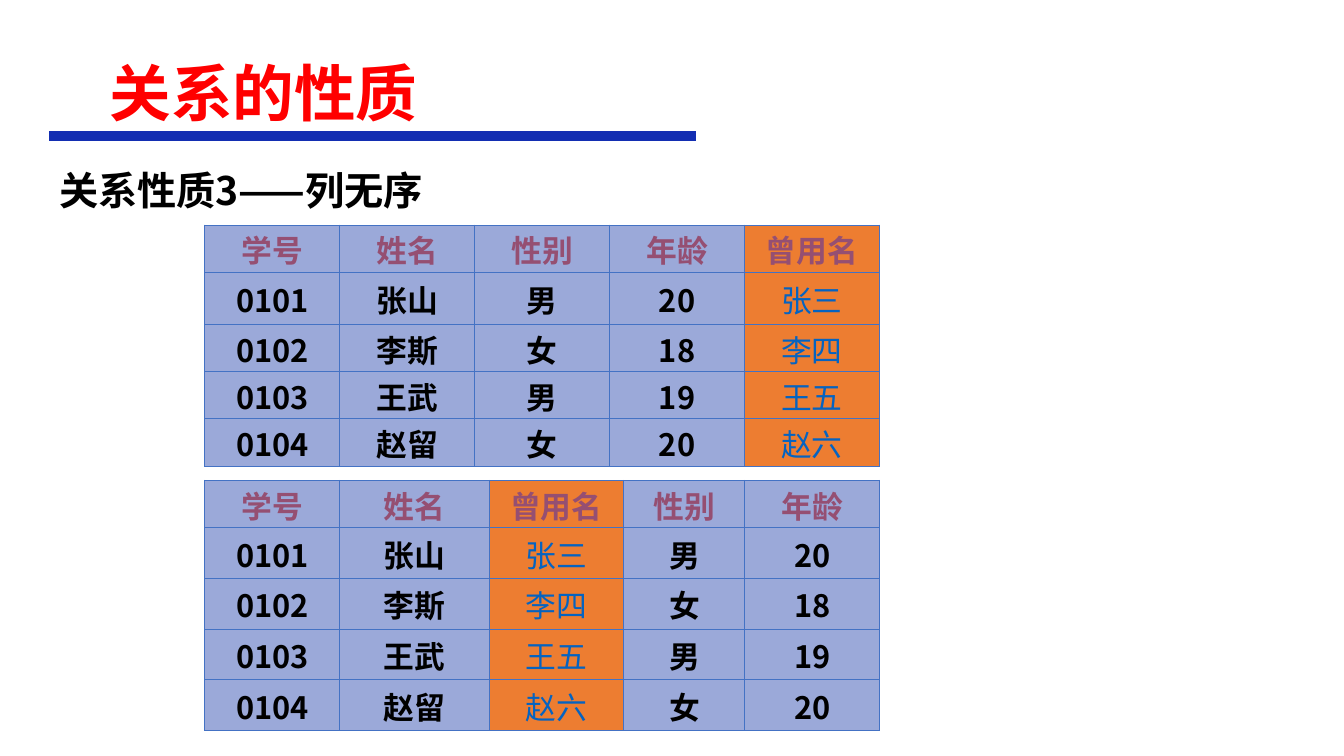
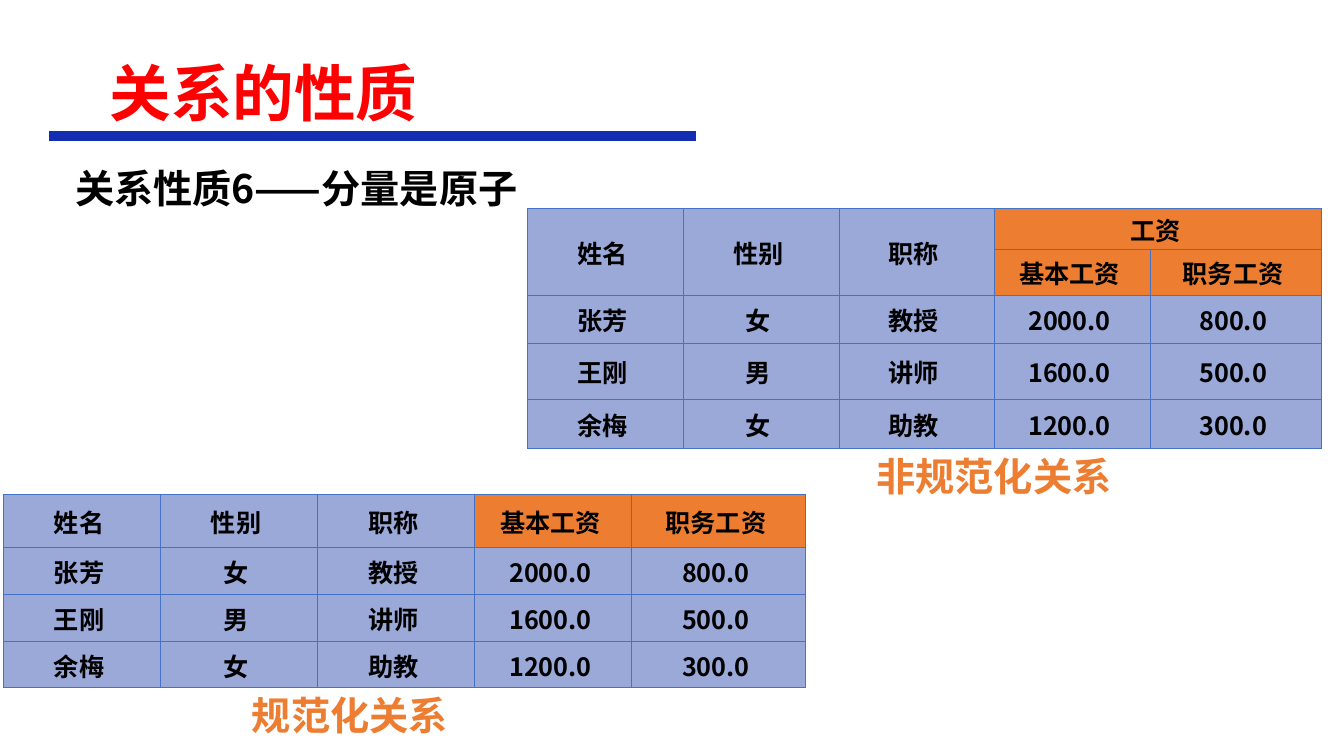
from pptx import Presentation
from pptx.dml.color import RGBColor
from pptx.enum.shapes import MSO_CONNECTOR
from pptx.enum.text import MSO_ANCHOR as Anchor, PP_ALIGN as Align
from pptx.oxml.ns import qn
from pptx.util import Cm, Pt
from lxml.etree import SubElement

CJK_FONT = "Noto Sans CJK SC"
RED, BLUE, BLACK, ORANGE = "FF0000", "132EB2", "000000", "ED7D31"
CELL_FILL, BORDER, PLUM, LINK = "9BA9D9", "4472C4", "954F72", "0563C1"

# Shared styles
TITLE = dict(size=44, color=RED)
HEADING = dict(size=28, color=BLACK)
CAPTION = dict(size=28, color=ORANGE, font="Karla")
STUDENT_HEAD = dict(size=22, color=PLUM)
STUDENT = dict(size=22, color=BLACK)
FORMER_NAME = dict(size=22, color=LINK, bold=False)
SALARY = dict(size=18, color=BLACK)

# Content
TITLE_TEXT = "关系的性质"
FORMER = "曾用名"
STUDENTS = {
    "学号": ["0101", "0102", "0103", "0104"],
    "姓名": ["张山", "李斯", "王武", "赵留"],
    "性别": ["男", "女", "男", "女"],
    "年龄": ["20", "18", "19", "20"],
    FORMER: ["张三", "李四", "王五", "赵六"],
}
STAFF_HEAD = ["姓名", "性别", "职称"]
PAY_HEAD = ["基本工资", "职务工资"]
STAFF = [
    ["张芳", "女", "教授", "2000.0", "800.0"],
    ["王刚", "男", "讲师", "1600.0", "500.0"],
    ["余梅", "女", "助教", "1200.0", "300.0"],
]

# Tables: left, top, column widths and row heights in cm
STUDENT_TABLES = [
    dict(order=["学号", "姓名", "性别", "年龄", FORMER], left=5.16, top=5.67,
         widths=[3.4] * 5, heights=[1.19, 1.31, 1.19, 1.19, 1.19]),
    dict(order=["学号", "姓名", FORMER, "性别", "年龄"], left=5.16, top=12.1,
         widths=[3.4, 3.76, 3.4, 3.05, 3.4], heights=[1.19] + [1.28] * 4),
]
SALARY_TABLES = [
    dict(rows=[STAFF_HEAD + ["工资", ""], [""] * 3 + PAY_HEAD] + STAFF,
         head_rows=2, left=13.3, top=5.26, widths=[3.92] * 4 + [4.33],
         heights=[1.01, 1.16, 1.21, 1.41, 1.24],
         merges=[((0, column), (1, column)) for column in range(3)]
         + [((0, 3), (0, 4))]),
    dict(rows=[STAFF_HEAD + PAY_HEAD] + STAFF,
         head_rows=1, left=0.08, top=12.45, widths=[3.96] * 4 + [4.38],
         heights=[1.34] + [1.18] * 3, merges=[]),
]


def rgb(value):
    return RGBColor.from_string(value)


def set_all(target, values):
    for name, value in values.items():
        setattr(target, name, value)


def write(frame, text, size, color, font=CJK_FONT, bold=True, **paragraph_format):
    paragraph = frame.paragraphs[0]
    set_all(paragraph, paragraph_format)
    run = paragraph.add_run()
    run.text = text
    set_all(run.font, dict(size=Pt(size), name=font, bold=bold))
    run.font.color.rgb = rgb(color)
    SubElement(run.font._element, qn("a:ea"), typeface=CJK_FONT)


def add_text(slide, text, left, top, width, height, **style):
    frame = slide.shapes.add_textbox(Cm(left), Cm(top), Cm(width), Cm(height)).text_frame
    set_all(frame, dict(word_wrap=True, vertical_anchor=Anchor.MIDDLE,
                        margin_top=0, margin_bottom=0))
    write(frame, text, **style)


def add_base_slide(presentation, heading, left, top):
    """Blank slide with the title, its rule and a heading."""
    slide = presentation.slides.add_slide(presentation.slide_layouts[6])
    add_text(slide, TITLE_TEXT, 2.51, 0.6, 29.21, 3.68, line_spacing=0.9, **TITLE)
    rule = slide.shapes.add_connector(
        MSO_CONNECTOR.STRAIGHT, Cm(1.24), Cm(3.43), Cm(17.53), Cm(3.43))
    rule.line.color.rgb = rgb(BLUE)
    rule.line.width = Pt(7.25)
    SubElement(rule._element.spPr, qn("a:effectLst"))
    add_text(slide, heading, left, top, 16.94, 1.45, **HEADING)
    return slide


def add_borders(cell):
    properties = cell._tc.get_or_add_tcPr()
    for side in ("lnL", "lnR", "lnT", "lnB"):
        line = SubElement(properties, qn(f"a:{side}"), w=str(Pt(0.5)))
        SubElement(SubElement(line, qn("a:solidFill")), qn("a:srgbClr"), val=BORDER)


def add_grid(slide, rows, left, top, widths, heights, style_of, is_orange,
             margin_right=0.25, merges=()):
    """Table whose text style and orange cells follow from row and column."""
    table = slide.shapes.add_table(
        len(rows), len(widths), Cm(left), Cm(top),
        Cm(sum(widths)), Cm(sum(heights))).table
    set_all(table, dict(first_row=False, horz_banding=False))
    for column, width in zip(table.columns, widths):
        column.width = Cm(width)
    for row, height in zip(table.rows, heights):
        row.height = Cm(height)
    for r, row in enumerate(rows):
        for c, text in enumerate(row):
            cell = table.cell(r, c)
            set_all(cell, dict(vertical_anchor=Anchor.MIDDLE, margin_top=Cm(0.05),
                               margin_bottom=0, margin_right=Cm(margin_right)))
            add_borders(cell)
            cell.fill.solid()
            cell.fill.fore_color.rgb = rgb(ORANGE if is_orange(r, c) else CELL_FILL)
            if text:
                write(cell.text_frame, text, alignment=Align.CENTER, **style_of(r, c))
    for first, last in merges:
        table.cell(*first).merge(table.cell(*last))


def add_student_table(slide, order, **place):
    former = order.index(FORMER)
    rows = [order, *zip(*(STUDENTS[name] for name in order))]

    def style_of(r, c):
        if r == 0:
            return STUDENT_HEAD
        return FORMER_NAME if c == former else STUDENT

    add_grid(slide, rows, style_of=style_of,
             is_orange=lambda r, c: c == former, **place)


def add_salary_table(slide, head_rows, **place):
    add_grid(slide, style_of=lambda r, c: SALARY, margin_right=0.39,
             is_orange=lambda r, c: r < head_rows and c >= len(STAFF_HEAD), **place)


def main():
    presentation = Presentation()
    set_all(presentation, dict(slide_width=Cm(33.87), slide_height=Cm(19.05)))

    # Column order does not matter
    slide = add_base_slide(presentation, "关系性质3——列无序", 1.24, 4.07)
    for table in STUDENT_TABLES:
        add_student_table(slide, **table)

    # Values are atomic
    slide = add_base_slide(presentation, "关系性质6——分量是原子", 1.65, 4)
    for table in SALARY_TABLES:
        add_salary_table(slide, **table)
    for text, left, top in [("非规范化关系", 21.84, 11.27), ("规范化关系", 6.1, 17.29)]:
        add_text(slide, text, left, top, 6.55, 1.45, **CAPTION)

    presentation.save("out.pptx")


if __name__ == "__main__":
    main()
